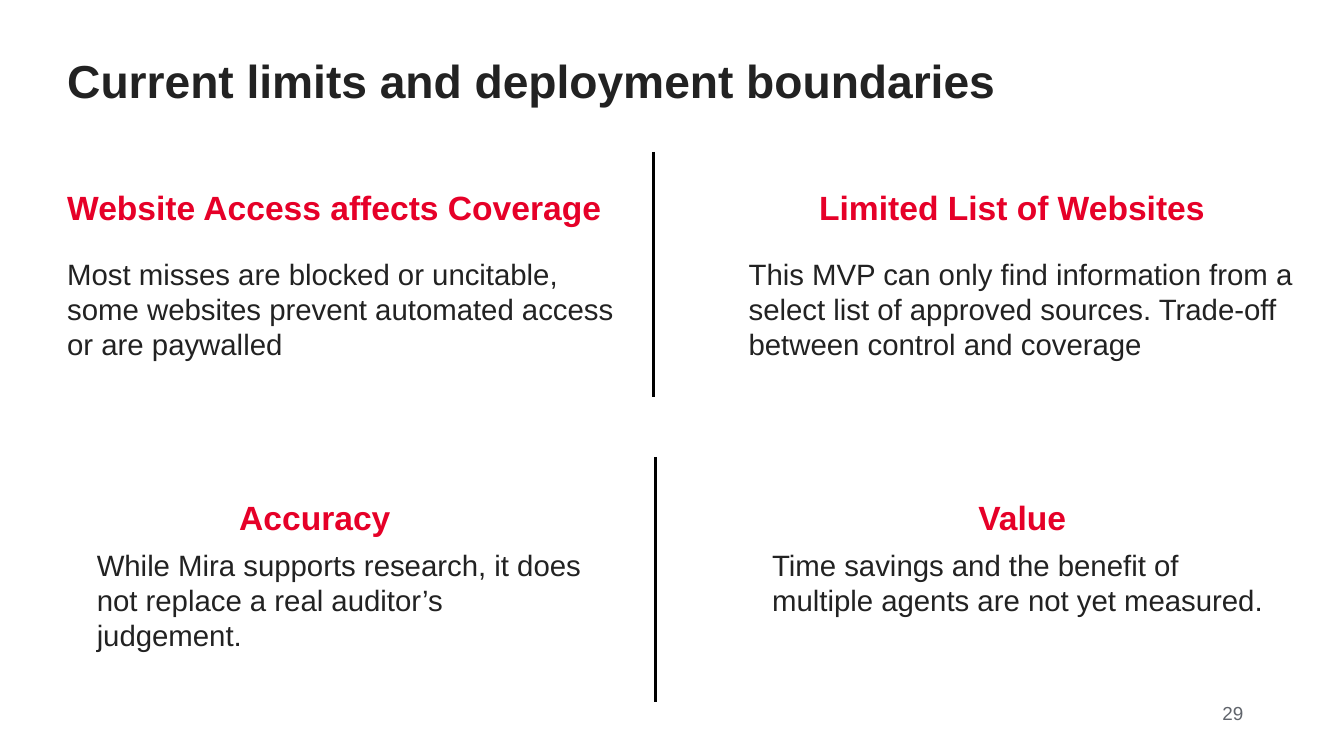
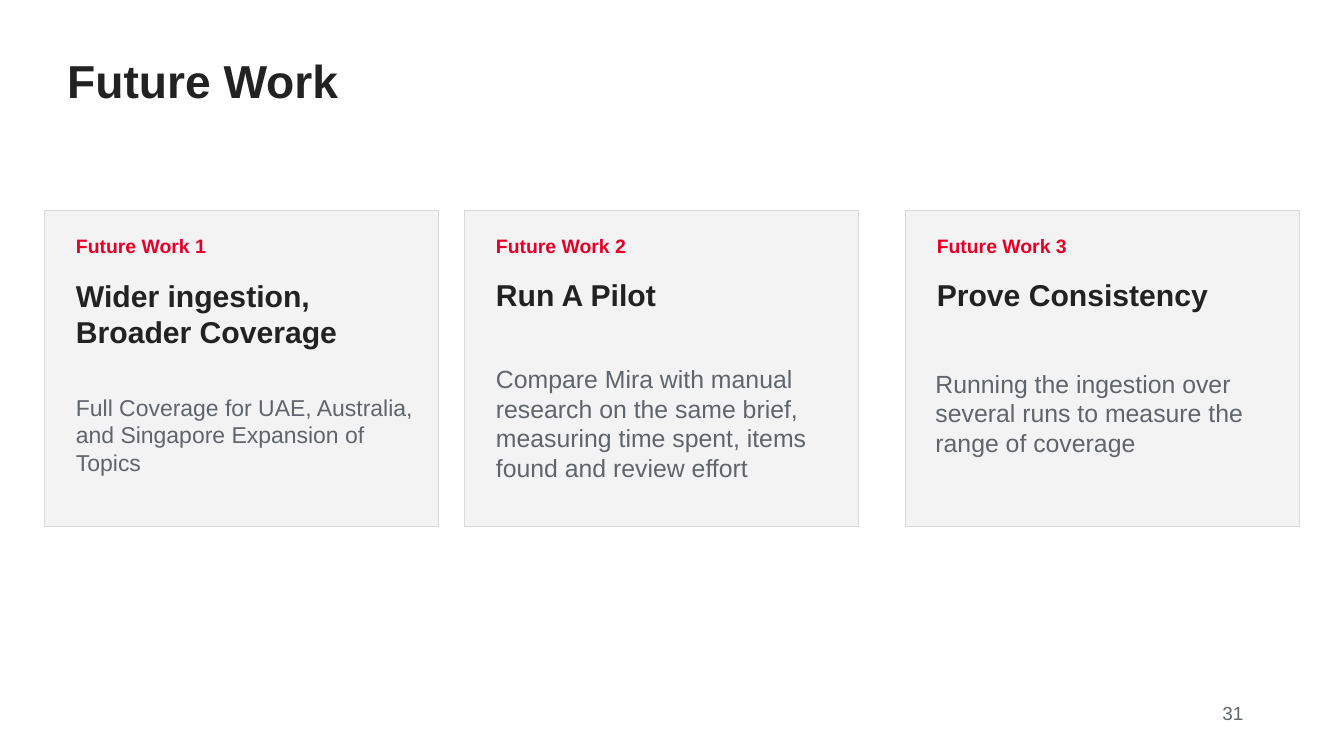
from dataclasses import dataclass

from pptx import Presentation
from pptx import util as u
from pptx.dml.color import RGBColor
from pptx.enum import shapes, text
from pptx.oxml.ns import qn
from pptx.shapes.base import BaseShape
from pptx.slide import Slide
from lxml import etree

PX = 9144  # EMU per px, 100 px to the inch
FONT = "Arial"
INK, RED, GRAY = "222222", "E60028", "60646B"
CARD_FILL, CARD_EDGE, RULE = "F3F3F3", "D9D9D9", "000000"
LEADING = 1.2


@dataclass(frozen=True)
class Style:
    size: float
    color: str
    bold: bool = False


TITLE = Style(49.5, INK, True)
PAGE_NUMBER = Style(20.2, GRAY)
LIMIT_HEADING = Style(36, RED, True)
LIMIT_BODY = Style(31.5, INK)
CARD_LABEL = Style(20.8, RED, True)
CARD_HEADING = Style(32.3, INK, True)
CARD_BODY = Style(26.6, GRAY)
CARD_BODY_SMALL = Style(24.6, GRAY)


@dataclass(frozen=True)
class Box:
    left: int
    top: int
    width: int
    height: int

    def emu(self) -> tuple[int, ...]:
        return tuple(n * PX for n in (self.left, self.top, self.width, self.height))


@dataclass(frozen=True)
class Limit:
    heading: str
    heading_box: Box
    body: str
    body_box: Box


@dataclass(frozen=True)
class Card:
    left: int
    heading: str
    heading_height: int
    body: str
    body_box: Box
    body_style: Style = CARD_BODY


LIMITS = [
    Limit("Website Access affects Coverage", Box(100, 278, 812, 62),
          "Most misses are blocked or uncitable, some websites prevent automated access "
          "or are paywalled", Box(100, 381, 828, 210)),
    Limit("Limited List of Websites", Box(1219, 278, 616, 62),
          "This MVP can only find information from a select list of approved sources. "
          "Trade-off between control and coverage", Box(1114, 381, 828, 158)),
    Limit("Accuracy", Box(356, 739, 300, 62),
          "While Mira supports research, it does not replace a real auditor’s judgement.",
          Box(144, 814, 724, 158)),
    Limit("Value", Box(1456, 739, 143, 62),
          "Time savings and the benefit of multiple agents are not yet measured.",
          Box(1149, 814, 739, 106)),
]
DIVIDERS = [(973, 226), (975, 680)]
DIVIDER_LENGTH = 365

CARD_TOP, CARD_WIDTH, CARD_HEIGHT = 313, 587, 471
CARD_INSET, CARD_TEXT_WIDTH = 47, 508
CARDS = [
    Card(66, "Wider ingestion, Broader Coverage", 109,
         "Full Coverage for UAE, Australia, and Singapore Expansion of Topics",
         Box(113, 585, CARD_TEXT_WIDTH, 123), CARD_BODY_SMALL),
    Card(691, "Run A Pilot", 56,
         "Compare Mira with manual research on the same brief, measuring time spent, "
         "items found and review effort", Box(738, 541, CARD_TEXT_WIDTH, 176)),
    Card(1347, "Prove Consistency", 56,
         "Running the ingestion over several runs to measure the range of coverage",
         Box(1392, 548, CARD_TEXT_WIDTH, 133)),
]


def rgb(color: str) -> RGBColor:
    return RGBColor.from_string(color)


def write(shape: BaseShape, words: str, style: Style) -> None:
    frame = shape.text_frame
    frame.text = words
    frame.word_wrap = True
    frame.auto_size = text.MSO_AUTO_SIZE.SHAPE_TO_FIT_TEXT
    frame.vertical_anchor = text.MSO_ANCHOR.TOP
    frame.margin_left = frame.margin_top = frame.margin_right = frame.margin_bottom = 0
    paragraph = frame.paragraphs[0]
    paragraph.alignment = text.PP_ALIGN.LEFT
    paragraph.line_spacing = u.Pt(style.size * LEADING)
    font = paragraph.font
    font.name, font.size, font.bold = FONT, u.Pt(style.size), style.bold
    font.color.rgb = rgb(style.color)


def add_text(slide: Slide, box: Box, words: str, style: Style) -> None:
    write(slide.shapes.add_textbox(*box.emu()), words, style)


def add_titled_slide(deck: Presentation, title: str, number: int) -> Slide:
    """Add a slide with the shared title and page number."""
    slide = deck.slides.add_slide(deck.slide_layouts[5])
    heading = slide.shapes.title
    heading.left, heading.top, heading.width, heading.height = Box(100, 78, 1800, 85).emu()
    write(heading, title, TITLE)
    add_text(slide, Box(1819, 1044, 81, 34), str(number), PAGE_NUMBER)
    return slide


def add_limit(slide: Slide, limit: Limit) -> None:
    add_text(slide, limit.heading_box, limit.heading, LIMIT_HEADING)
    add_text(slide, limit.body_box, limit.body, LIMIT_BODY)


def add_divider(slide: Slide, x: int, top: int) -> None:
    divider = slide.shapes.add_connector(
        shapes.MSO_CONNECTOR.STRAIGHT, x * PX, top * PX, x * PX, (top + DIVIDER_LENGTH) * PX)
    divider.line.color.rgb = rgb(RULE)
    divider.line.width = u.Pt(3)
    etree.SubElement(divider._element.spPr, qn("a:effectLst"))


def add_card(slide: Slide, card: Card, number: int) -> None:
    panel = slide.shapes.add_shape(
        shapes.MSO_SHAPE.RECTANGLE, *Box(card.left, CARD_TOP, CARD_WIDTH, CARD_HEIGHT).emu())
    panel.shadow.inherit = False
    panel.fill.solid()
    panel.fill.fore_color.rgb = rgb(CARD_FILL)
    panel.line.color.rgb = rgb(CARD_EDGE)
    panel.line.width = u.Pt(1.13)
    left = card.left + CARD_INSET
    add_text(slide, Box(left, 349, CARD_TEXT_WIDTH, 35), f"Future Work {number}", CARD_LABEL)
    add_text(slide, Box(left, 412, CARD_TEXT_WIDTH, card.heading_height),
             card.heading, CARD_HEADING)
    add_text(slide, card.body_box, card.body, card.body_style)


def main() -> None:
    deck = Presentation()
    deck.slide_width, deck.slide_height = 2000 * PX, 1125 * PX

    limits_slide = add_titled_slide(deck, "Current limits and deployment boundaries", 29)
    for limit in LIMITS:
        add_limit(limits_slide, limit)
    for x, top in DIVIDERS:
        add_divider(limits_slide, x, top)

    future_slide = add_titled_slide(deck, "Future Work", 31)
    for number, card in enumerate(CARDS, start=1):
        add_card(future_slide, card, number)

    deck.save("out.pptx")


if __name__ == "__main__":
    main()
